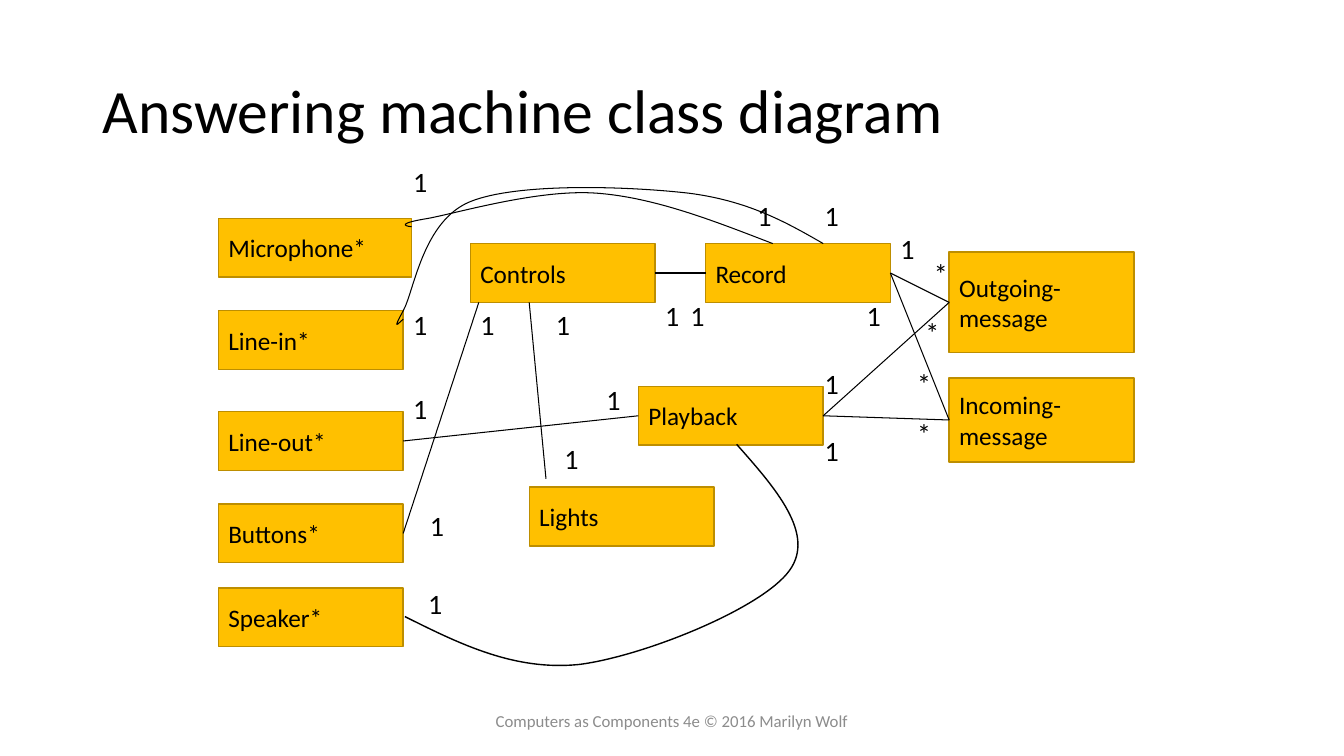
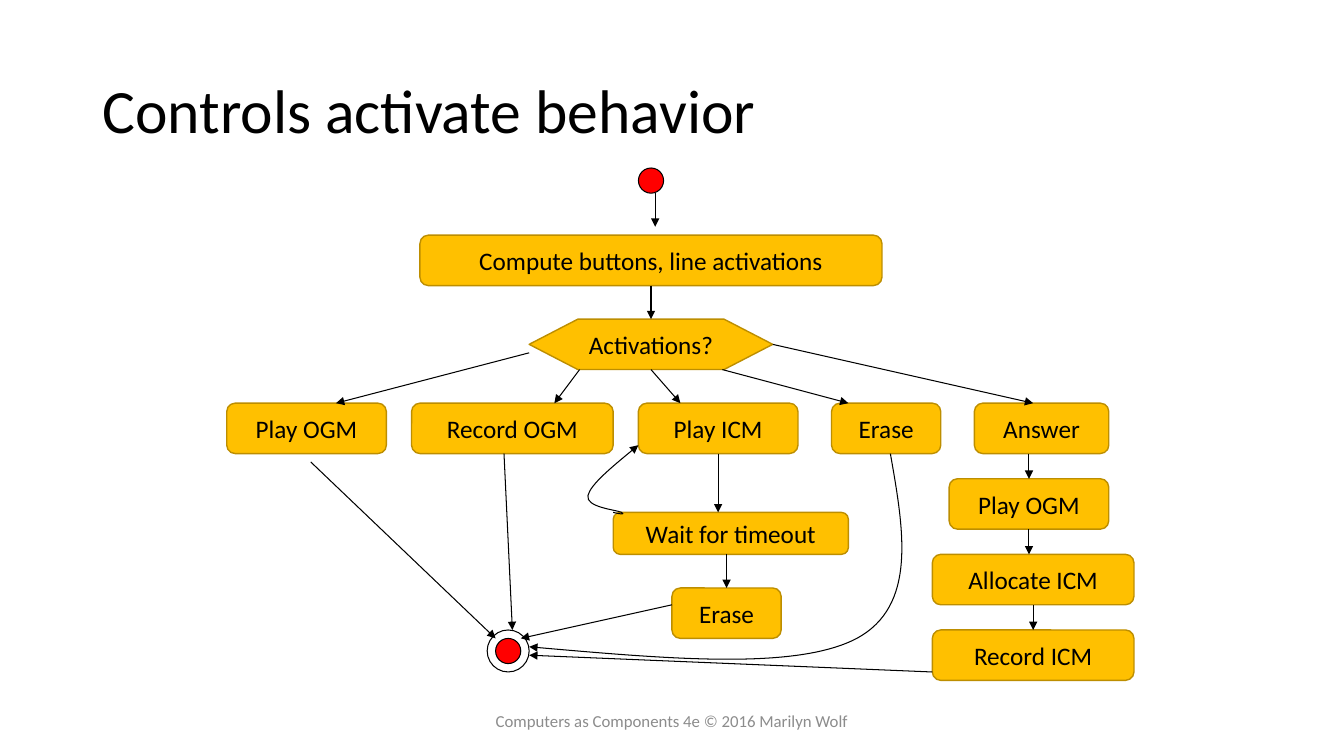
"""Build two slides on an answering machine: its class diagram and its control flow."""
from dataclasses import dataclass
from typing import Optional

from pptx import Presentation
from pptx.dml.color import RGBColor
from pptx.enum.shapes import MSO_CONNECTOR, MSO_SHAPE
from pptx.enum.text import MSO_ANCHOR, MSO_AUTO_SIZE, PP_ALIGN
from pptx.oxml.ns import qn
from pptx.oxml.xmlchemy import OxmlElement
from pptx.util import Inches, Pt

COLORS = {
    "box": "FFC000",
    "box_line": "BD8E00",
    "state": "FF0000",
    "ink": "000000",
    "footer": "8C8C8C",
}
FONT = "Calibri"
COLUMNS, ROWS = 160, 90
CELL = Inches(1) / 12
FOOTER = "Computers as Components 4e © 2016 Marilyn Wolf"
LABEL_WIDTH, LABEL_HEIGHT = 4.1, 5.3

Point = tuple[float, float]
Sites = dict[Point, tuple]


@dataclass(frozen=True)
class Box:
    text: str
    left: float
    top: float
    width: float = 22
    height: float = 7
    kind: MSO_SHAPE = MSO_SHAPE.RECTANGLE
    align: PP_ALIGN = PP_ALIGN.LEFT


@dataclass(frozen=True)
class Circle:
    left: float
    top: float
    diameter: float
    fill: Optional[str] = None


@dataclass(frozen=True)
class Link:
    start: Point
    end: Point


@dataclass(frozen=True)
class Curve:
    points: tuple[Point, ...]
    width: float = 0.75
    arrow: bool = False


def cells(*values: float) -> list[int]:
    return [round(value * CELL) for value in values]


def color(name: str) -> RGBColor:
    return RGBColor.from_string(COLORS[name])


def write_text(shape, text: str, *, size: float = 18, ink: str = "ink",
               align: PP_ALIGN = PP_ALIGN.LEFT, anchor: MSO_ANCHOR = MSO_ANCHOR.MIDDLE,
               wrap: bool = False, spacing: Optional[float] = None,
               fit: MSO_AUTO_SIZE = MSO_AUTO_SIZE.NONE) -> None:
    frame = shape.text_frame
    frame.text = text
    frame.word_wrap = wrap
    frame.auto_size = fit
    frame.vertical_anchor = anchor
    for paragraph in frame.paragraphs:
        paragraph.alignment = align
        paragraph.line_spacing = spacing
        for run in paragraph.runs:
            run.font.name = FONT
            run.font.size = Pt(size)
            run.font.color.rgb = color(ink)


def style_line(line, name: str = "ink", width: float = 0.75, arrow: bool = False) -> None:
    line.color.rgb = color(name)
    line.width = Pt(width)
    if arrow:
        head = OxmlElement("a:tailEnd")
        head.set("type", "triangle")
        line._get_or_add_ln().append(head)


def style_shape(shape, fill: Optional[str]) -> None:
    shape.shadow.inherit = False
    if fill is None:
        shape.fill.background()
    else:
        shape.fill.solid()
        shape.fill.fore_color.rgb = color(fill)


def add_titled_slide(presentation, title: str):
    slide = presentation.slides.add_slide(presentation.slide_layouts.get_by_name("Title Only"))
    heading = slide.shapes.title
    heading.left, heading.top, heading.width, heading.height = cells(11, 4.8, 138, 17.4)
    write_text(heading, title, size=44, wrap=True, spacing=0.9)
    footer = slide.shapes.add_textbox(*cells(53, 83.4, 54, 4.8))
    write_text(footer, FOOTER, size=12, ink="footer", align=PP_ALIGN.CENTER, wrap=True)
    return slide


def add_boxes(slide, boxes: list[Box]) -> Sites:
    sites: Sites = {}
    for box in boxes:
        shape = slide.shapes.add_shape(box.kind, *cells(box.left, box.top, box.width, box.height))
        style_shape(shape, "box")
        style_line(shape.line, "box_line", 1)
        write_text(shape, box.text, align=box.align)
        right, bottom = box.left + box.width, box.top + box.height
        middle_x, middle_y = box.left + box.width / 2, box.top + box.height / 2
        sides = [(middle_x, box.top), (box.left, middle_y), (middle_x, bottom), (right, middle_y)]
        sites.update({point: (shape, index) for index, point in enumerate(sides)})
    return sites


def add_circle(slide, circle: Circle) -> None:
    shape = slide.shapes.add_shape(
        MSO_SHAPE.OVAL, *cells(circle.left, circle.top, circle.diameter, circle.diameter))
    style_shape(shape, circle.fill)
    style_line(shape.line)


def add_link(slide, link: Link, sites: Sites, arrow: bool = False) -> None:
    connector = slide.shapes.add_connector(MSO_CONNECTOR.STRAIGHT, *cells(*link.start, *link.end))
    if link.start in sites:
        connector.begin_connect(*sites[link.start])
    if link.end in sites:
        connector.end_connect(*sites[link.end])
    style_line(connector.line, arrow=arrow)
    connector._element.spPr.append(OxmlElement("a:effectLst"))


def add_curve(slide, curve: Curve) -> None:
    start, *controls = [tuple(cells(*point)) for point in curve.points]
    builder = slide.shapes.build_freeform(*start)
    builder.add_line_segments(controls, close=False)
    shape = builder.convert_to_shape()
    segments = list(shape._element.iter(qn("a:lnTo")))
    for index in range(0, len(segments), 3):
        bezier = OxmlElement("a:cubicBezTo")
        segments[index].addprevious(bezier)
        for segment in segments[index:index + 3]:
            bezier.append(segment[0])
            segment.getparent().remove(segment)
    style_shape(shape, None)
    style_line(shape.line, width=curve.width, arrow=curve.arrow)


def add_label(slide, text: str, position: Point) -> None:
    label = slide.shapes.add_textbox(*cells(*position, LABEL_WIDTH, LABEL_HEIGHT))
    write_text(label, text, size=20, anchor=MSO_ANCHOR.TOP, fit=MSO_AUTO_SIZE.SHAPE_TO_FIT_TEXT)


def step(text: str, left: float, top: float, width: float, height: float = 6,
         kind: MSO_SHAPE = MSO_SHAPE.ROUNDED_RECTANGLE) -> Box:
    return Box(text, left, top, width, height, kind, PP_ALIGN.CENTER)


def build_class_diagram(presentation) -> None:
    slide = add_titled_slide(presentation, "Answering machine class diagram")
    sites = add_boxes(slide, [
        Box("Microphone*", 26, 26, width=23),
        Box("Line-in*", 26, 37),
        Box("Line-out*", 26, 49),
        Box("Buttons*", 26, 60),
        Box("Speaker*", 26, 70),
        Box("Lights", 63, 58),
        Box("Playback", 76, 46),
        Box("Controls", 56, 29),
        Box("Record", 84, 29),
        Box("Outgoing-\nmessage", 113, 30, height=12),
        Box("Incoming-\nmessage", 113, 45, height=10),
    ])
    curves = [
        Curve(((49, 27), (48.1, 26.9), (47.3, 26.6), (51, 26), (54.7, 25.3), (64.2, 22.5),
               (71, 23), (77.9, 23.5), (85, 26.3), (92, 29))),
        Curve(((48, 38), (47.3, 38.6), (46.7, 39.4), (48, 37), (49.3, 34.7), (50.3, 26.3),
               (56, 24), (61.7, 21.7), (75, 22.2), (82, 23), (89, 23.9), (93.5, 26.4), (98, 29))),
        Curve(((48.2, 73.4), (54.8, 76.7), (61.3, 79.9), (69, 79.1), (76.7, 78.1), (90.8, 72.4),
               (94, 67.9), (97.1, 63.6), (92.4, 58.2), (87.7, 52.9)), width=1),
    ]
    for curve in curves:
        add_curve(slide, curve)
    links = [
        Link((48, 52.5), (76, 49.5)),
        Link((48, 63.5), (57, 36)),
        Link((65, 57), (63, 36)),
        Link((78, 32.5), (84, 32.5)),
        Link((98, 49.5), (113, 50)),
        Link((98, 49.5), (113, 36)),
        Link((113, 36), (106, 32.5)),
        Link((106, 32.5), (113, 50)),
    ]
    for link in links:
        add_link(slide, link, sites)
    multiplicities = {
        "1": [(49.8, 69.2), (50, 60), (48, 46), (48, 36), (48, 19), (66, 52), (71, 45), (65, 36),
              (56, 36), (78, 35), (81, 35), (97, 23), (89, 23), (102, 35), (106, 27), (97, 43),
              (97, 51)],
        "*": [(110, 30), (109, 37), (108, 43), (108, 49)],
    }
    for text, positions in multiplicities.items():
        for position in positions:
            add_label(slide, text, position)


def build_control_flow(presentation) -> None:
    slide = add_titled_slide(presentation, "Controls activate behavior")
    sites = add_boxes(slide, [
        step("Compute buttons, line activations", 50, 28, 55),
        step("Activations?", 63, 38, 29, kind=MSO_SHAPE.FLOWCHART_PREPARATION),
        step("Play OGM", 27, 48, 19),
        step("Record OGM", 49, 48, 24),
        step("Play ICM", 76, 48, 19),
        step("Erase", 99, 48, 13),
        step("Answer", 116, 48, 16),
        step("Wait for timeout", 73, 61, 28, height=5),
        step("Erase", 80, 70, 13),
        step("Play OGM", 113, 57, 19),
        step("Allocate ICM", 111, 66, 24),
        step("Record ICM", 111, 75, 24),
    ])
    for circle in [Circle(76, 20, 3, "state"), Circle(59, 76, 3, "state"), Circle(58, 75, 5)]:
        add_circle(slide, circle)
    links = [
        Link((78, 23), (78, 27)),
        Link((77.5, 34), (77.5, 38)),
        Link((63, 42), (40, 48)),
        Link((69, 44), (66, 48)),
        Link((77.5, 44), (81, 48)),
        Link((86, 44), (101, 48)),
        Link((92, 41), (123, 48)),
        Link((85.5, 54), (85.5, 61)),
        Link((86.5, 66), (86.5, 70)),
        Link((80, 72), (62, 76)),
        Link((60, 54), (61, 75)),
        Link((37, 55), (59, 76)),
        Link((111, 80), (63, 78)),
        Link((122.5, 54), (122.5, 57)),
        Link((122.5, 63), (122.5, 66)),
        Link((123, 72), (123, 75)),
    ]
    for link in links:
        add_link(slide, link, sites, arrow=True)
    curves = [
        Curve(((73, 61), (73.8, 61.2), (74.5, 61.3), (74, 61), (73.4, 60.7), (69.7, 60.4),
               (70, 59), (70.3, 57.7), (73.2, 55.3), (76, 53)), arrow=True),
        Curve(((106, 54), (107.6, 63.1), (109.2, 72.1), (102, 76), (94.8, 79.8), (79, 78.4),
               (63, 77)), arrow=True),
    ]
    for curve in curves:
        add_curve(slide, curve)


def main() -> None:
    presentation = Presentation()
    presentation.slide_width, presentation.slide_height = cells(COLUMNS, ROWS)
    build_class_diagram(presentation)
    build_control_flow(presentation)
    presentation.save("out.pptx")


if __name__ == "__main__":
    main()
